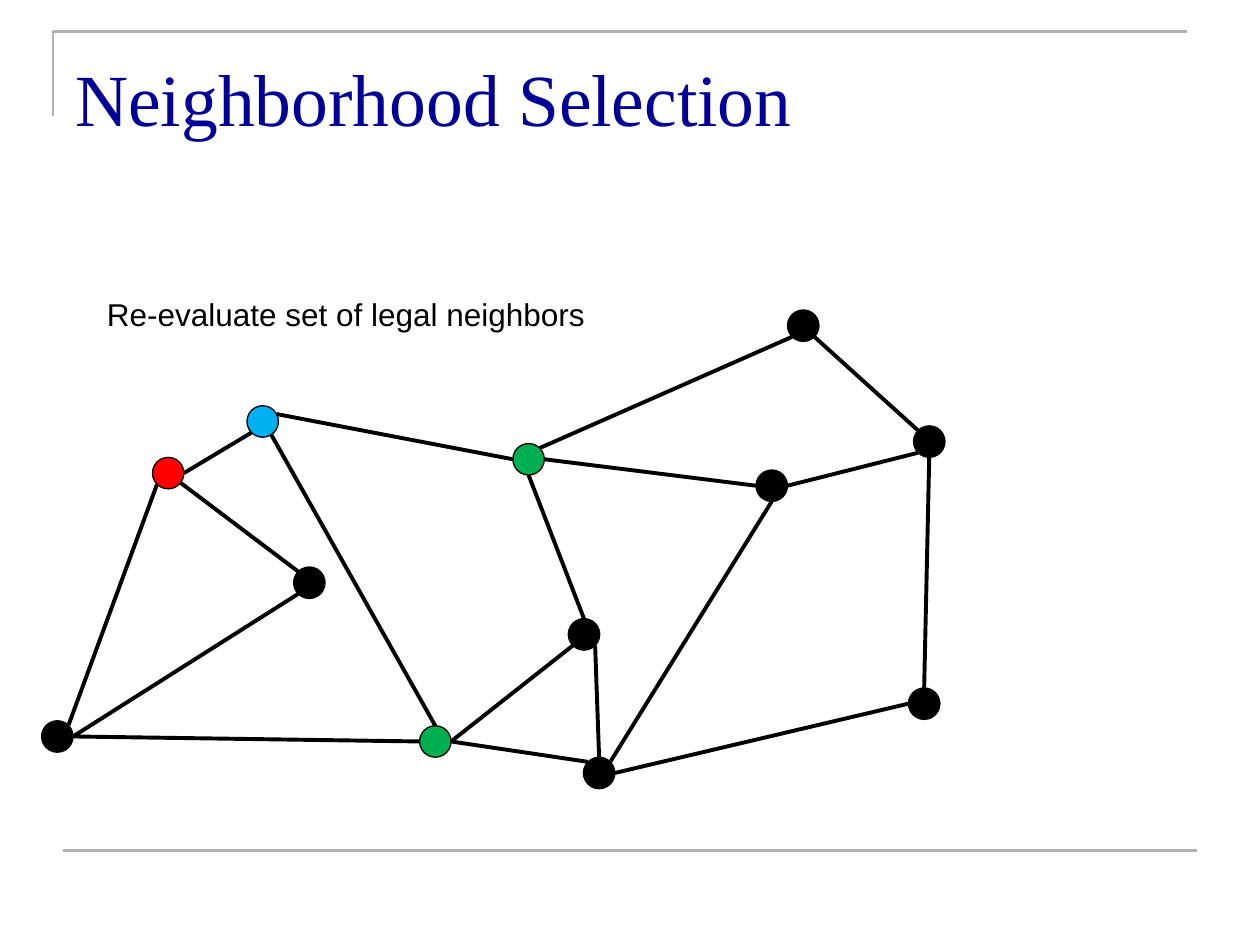
import math

import pptx
import pptx.dml.color
import pptx.enum.shapes
import pptx.enum.text
import pptx.oxml
import pptx.util

Inches = pptx.util.Inches
Pt = pptx.util.Pt

COLORS = {
    "black": "000000", "red": "FF0000", "blue": "00B0F0", "green": "00B050",
    "title": "000099", "rule": "B2B2B2",
}
DIAMETER = 0.25

# name: (left, top, colour)
NODES = {
    "current": (1.21, 3.63, "red"),
    "previous": (1.96, 3.22, "blue"),
    "corner": (0.33, 5.72, "black"),
    "fork": (2.33, 4.5, "black"),
    "hub": (4.07, 3.52, "green"),
    "middle": (6, 3.73, "black"),
    "lower": (3.33, 5.76, "green"),
    "inner": (4.51, 4.91, "black"),
    "base": (4.63, 6.01, "black"),
    "far low": (7.21, 5.46, "black"),
    "peak": (6.25, 2.46, "black"),
    "far high": (7.25, 3.38, "black"),
}

# (node, side, node, side); a side is a compass point or an angle in degrees
EDGES = [
    ("current", "E", "previous", "SW"),
    ("corner", "E", "fork", "SW"),
    ("hub", "E", "middle", "W"),
    ("lower", "E", "inner", "SW"),
    ("base", "E", "far low", "W"),
    ("peak", "SE", "far high", "NW"),
    ("previous", -28, "hub", "W"),
    ("current", 38, "fork", "NW"),
    ("previous", 57, "lower", "N"),
    ("corner", "NE", "current", "SW"),
    ("corner", "E", "lower", "W"),
    ("hub", "NE", "peak", "SW"),
    ("far low", "N", "far high", "S"),
    ("middle", "E", "far high", "SW"),
    ("middle", "S", "base", "NE"),
    ("lower", "E", "base", "NW"),
    ("inner", "SE", "base", "N"),
    ("hub", "S", "inner", "N"),
]
COMPASS = ["E", "SE", "S", "SW", "W", "NW", "N", "NE"]


def rgb(name):
    return pptx.dml.color.RGBColor.from_string(COLORS[name])


def add_text(slide, text, box, *, font, size, color, top_inset=0.05):
    frame = slide.shapes.add_textbox(*map(Inches, box)).text_frame
    frame.word_wrap = True
    frame.vertical_anchor = pptx.enum.text.MSO_ANCHOR.TOP
    frame.margin_top = Inches(top_inset)
    run = frame.paragraphs[0].add_run()
    run.text = text
    run.font.name = font
    run.font.size = Pt(size)
    run.font.color.rgb = rgb(color)


def add_line(slide, start, end, color, width):
    line = slide.shapes.add_connector(
        pptx.enum.shapes.MSO_CONNECTOR.STRAIGHT, *map(Inches, (*start, *end)))
    line.line.color.rgb = rgb(color)
    line.line.width = Pt(width)
    properties = line._element.spPr
    properties.append(pptx.oxml.parse_xml(
        '<a:effectLst xmlns:a="http://schemas.openxmlformats.org/drawingml/2006/main"/>'))


def add_title_frame(slide):
    builder = slide.shapes.build_freeform(Inches(0.42), Inches(0.92))
    corners = [(0.42, 0.25), (9.42, 0.25)]
    builder.add_line_segments([tuple(map(Inches, c)) for c in corners], close=False)
    shape = builder.convert_to_shape()
    shape.shadow.inherit = False
    shape.fill.background()
    shape.line.color.rgb = rgb("rule")
    shape.line.width = Pt(1.5)


def add_node(slide, left, top, color):
    shape = slide.shapes.add_shape(
        pptx.enum.shapes.MSO_SHAPE.OVAL,
        *map(Inches, (left, top, DIAMETER, DIAMETER)))
    shape.shadow.inherit = False
    shape.fill.solid()
    shape.fill.fore_color.rgb = rgb(color)
    shape.line.color.rgb = rgb("black")
    shape.line.width = Pt(0.75)


def rim_point(node, side):
    """Point on a node's outline at a compass side or angle."""
    left, top, _ = NODES[node]
    degrees = COMPASS.index(side) * 45 if side in COMPASS else side
    angle = math.radians(degrees)
    radius = DIAMETER / 2
    return (left + radius * (1 + math.cos(angle)),
            top + radius * (1 + math.sin(angle)))


def main():
    presentation = pptx.Presentation()
    presentation.slide_width = Inches(10)
    presentation.slide_height = Inches(7.5)
    slide = presentation.slides.add_slide(presentation.slide_layouts[6])

    add_title_frame(slide)
    add_line(slide, (0.5, 6.75), (9.5, 6.75), "rule", 1.5)
    add_text(slide, "Neighborhood Selection", (0.5, 0.3, 9, 1.25),
             font="Times New Roman", size=42, color="title", top_inset=0.12)
    for node in NODES.values():
        add_node(slide, *node)
    for first, first_side, second, second_side in EDGES:
        add_line(slide, rim_point(first, first_side),
                 rim_point(second, second_side), "black", 2.25)
    add_text(slide, "Re-evaluate set of legal neighbors", (0.75, 2.29, 4.75, 0.4),
             font="Arial", size=18, color="black")

    presentation.save("out.pptx")


if __name__ == "__main__":
    main()
